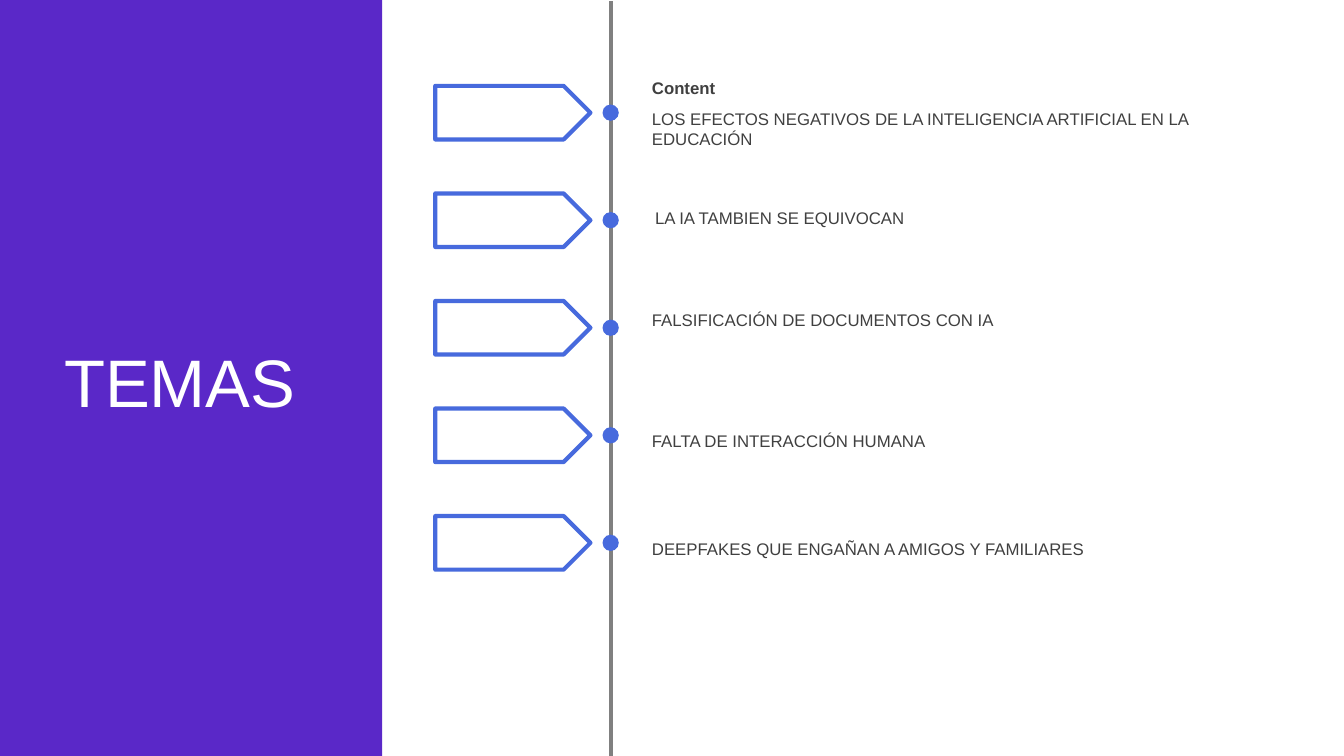
from pptx import Presentation
from pptx import util as u
from pptx.dml.color import RGBColor
from pptx.enum import shapes, text
from pptx.oxml.ns import qn
from lxml import etree

COLORS = {
    "panel": "5A28C8",
    "accent": "476ADD",
    "timeline": "808080",
    "body": "404040",
    "white": "FFFFFF",
}


class TopicSlide:
    """Draws styled elements on the current slide, with lengths in centimetres."""

    font_name = "Arial"
    stroke = u.Pt(3)

    def __init__(self, slide):
        self.canvas = slide.shapes

    def color(self, name):
        return RGBColor.from_string(COLORS[name])

    def shape(self, kind, left, top, width, height, fill, outline=None):
        part = self.canvas.add_shape(kind, u.Cm(left), u.Cm(top), u.Cm(width), u.Cm(height))
        part.shadow.inherit = False
        part.fill.solid()
        part.fill.fore_color.rgb = self.color(fill)
        if outline:
            part.line.color.rgb = self.color(outline)
            part.line.width = self.stroke
        else:
            part.line.fill.background()

    def vertical_line(self, x, top, bottom, color):
        line = self.canvas.add_connector(
            shapes.MSO_CONNECTOR.STRAIGHT, u.Cm(x), u.Cm(top), u.Cm(x), u.Cm(bottom))
        line.line.color.rgb = self.color(color)
        line.line.width = self.stroke
        etree.SubElement(line._element.spPr, qn("a:effectLst"))

    def label(self, words, left, top, width, height, size=12, color="body",
              bold=False, middle=False, spacing=1.0):
        box = self.canvas.add_textbox(u.Cm(left), u.Cm(top), u.Cm(width), u.Cm(height))
        frame = box.text_frame
        frame.word_wrap = True
        frame.vertical_anchor = text.MSO_ANCHOR.MIDDLE if middle else text.MSO_ANCHOR.TOP
        paragraph = frame.paragraphs[0]
        paragraph.text = words
        paragraph.line_spacing = spacing
        paragraph.font.name = self.font_name
        paragraph.font.size = u.Pt(size)
        paragraph.font.bold = bold
        paragraph.font.color.rgb = self.color(color)


def main():
    deck = Presentation()
    deck.slide_width, deck.slide_height = u.Cm(33.87), u.Cm(19.05)
    page = TopicSlide(deck.slides.add_slide(deck.slide_layouts[6]))

    page.shape(shapes.MSO_SHAPE.RECTANGLE, 0, 0, 9.63, 19.05, "panel")
    page.label("TEMAS", 1.37, 7.24, 8.51, 4.98, size=48, color="white",
               middle=True, spacing=0.9)

    timeline_x, first_center, pitch = 15.39, 2.84, 2.71
    dot, tag_height = 0.41, 1.35
    text_left, text_width = 16.18, 16.05
    topics = [
        ("LOS EFECTOS NEGATIVOS DE LA INTELIGENCIA ARTIFICIAL EN LA EDUCACIÓN",
         text_left, 2.62, 1.27),
        ("LA IA TAMBIEN SE EQUIVOCAN", 16.26, 5.11, 0.76),
        ("FALSIFICACIÓN DE DOCUMENTOS CON IA", text_left, 7.67, 0.76),
        ("FALTA DE INTERACCIÓN HUMANA", text_left, 10.74, 0.76),
        ("DEEPFAKES QUE ENGAÑAN A AMIGOS Y FAMILIARES", text_left, 13.44, 0.76),
    ]

    page.vertical_line(timeline_x, 0.03, 19.05, "timeline")
    page.label("Content", text_left, 1.83, text_width, 0.76, bold=True, middle=True)
    for index, (topic, left, top, height) in enumerate(topics):
        center = first_center + index * pitch
        page.shape(shapes.MSO_SHAPE.OVAL, timeline_x - dot / 2, center - dot / 2,
                   dot, dot, "accent")
        page.shape(shapes.MSO_SHAPE.PENTAGON, 10.97, center - tag_height / 2,
                   3.91, tag_height, "white", outline="accent")
        page.label(topic, left, top, text_width, height)

    deck.save("out.pptx")


if __name__ == "__main__":
    main()
